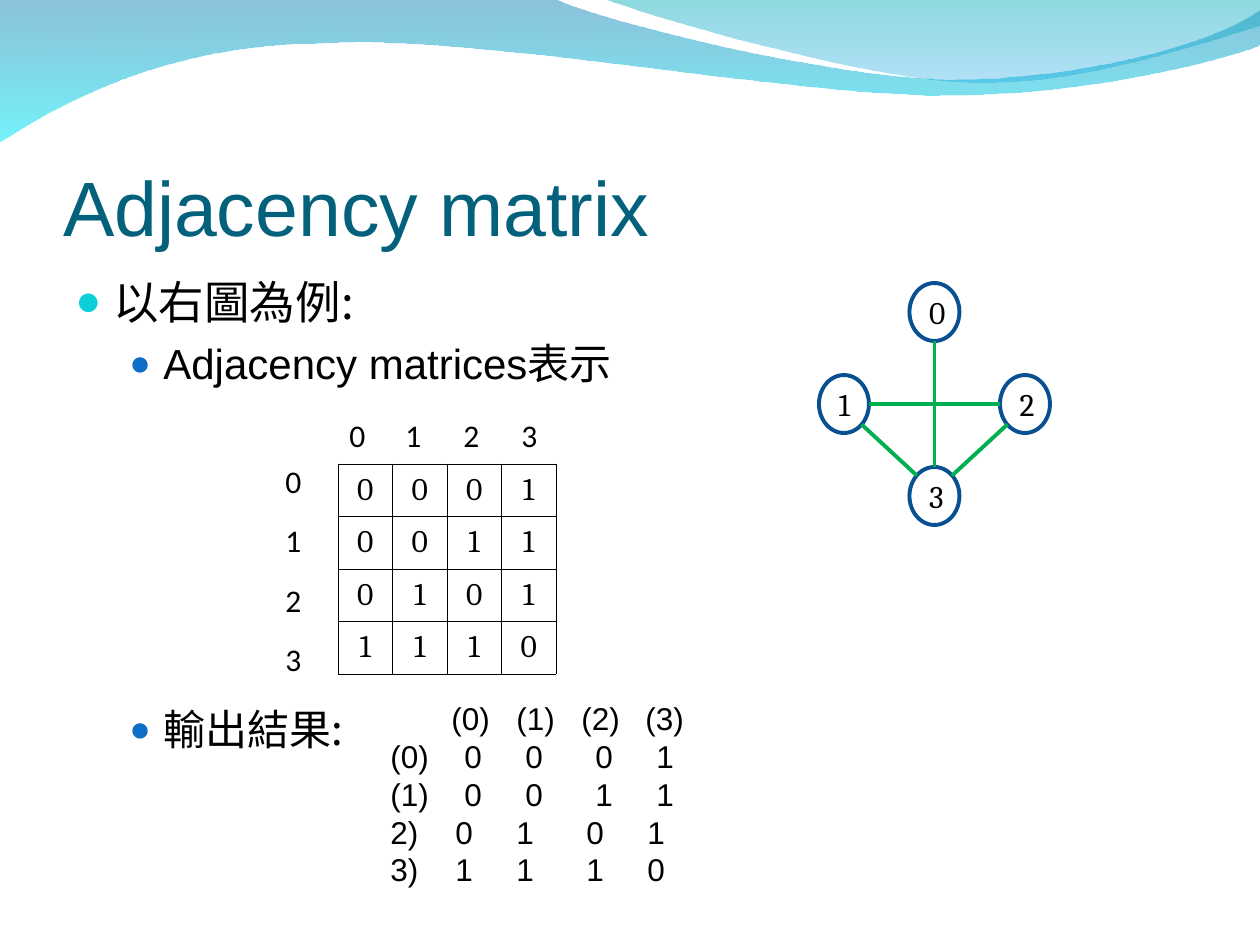
import dataclasses
import math

import pptx
import pptx.dml.color
import pptx.enum.shapes
import pptx.enum.text
import pptx.oxml.ns
import pptx.util
from lxml import etree

SCALE = 914400 / 126
MATRIX = ["0001", "0011", "0101", "1110"]


@dataclasses.dataclass(frozen=True)
class Theme:
    sans: str = "Arial"
    serif: str = "Cambria"
    label: str = "Calibri"
    asian: str = "Noto Sans CJK SC"
    title: str = "04617B"
    ink: str = "000000"
    dot: str = "0BD0D9"
    subdot: str = "0F6FC6"
    node: str = "085091"
    edge: str = "00B050"
    head: int = 44
    lead: int = 26
    point: int = 24
    small: int = 18


THEME = Theme()


def px(n):
    return pptx.util.Emu(round(n * SCALE))


def rgb(code):
    return pptx.dml.color.RGBColor.from_string(code)


def add(parent, tag, **attrs):
    node = etree.SubElement(parent, pptx.oxml.ns.qn("a:" + tag))
    for key, value in attrs.items():
        node.set(key, str(value))
    return node


def style(para, face, size, color=THEME.ink):
    font = para.font
    font.name, font.size = face, pptx.util.Pt(size)
    font.color.rgb = rgb(color)
    add(para._p.pPr.find(pptx.oxml.ns.qn("a:defRPr")), "ea", typeface=THEME.asian)


def set_tabs(para, stops):
    tabs = add(para._p.get_or_add_pPr(), "tabLst")
    for stop in stops:
        add(tabs, "tab", pos=px(stop), algn="l")


def add_text(shapes, box, lines):
    """Add a wrapped text box and return its paragraphs."""
    frame = shapes.add_textbox(*map(px, box)).text_frame
    frame.word_wrap = True
    frame.text = "\n".join(lines)
    return frame.paragraphs


def bend(shape, parts):
    """Turn each run of three line segments into one cubic curve."""
    lines = list(shape.element.spPr.iter(pptx.oxml.ns.qn("a:lnTo")))
    for part in parts:
        group, lines = lines[:len(part)], lines[len(part):]
        if len(group) == 3:
            group[0].tag = pptx.oxml.ns.qn("a:cubicBezTo")
            for line in group[1:]:
                group[0].append(line[0])
                line.getparent().remove(line)


def add_wave(shapes, start, parts, stops):
    """Draw lines (one point) and curves (three); stops are (colour, alpha %)."""
    points = [(px(x), px(y)) for part in parts for x, y in part]
    builder = shapes.build_freeform(*map(px, start), scale=1.0)
    builder.add_line_segments(points, close=True)
    wave = builder.convert_to_shape()
    bend(wave, parts)
    wave.shadow.inherit = False
    wave.line.fill.background()
    wave.fill.gradient()
    wave.fill.gradient_angle = 270
    for stop, (color, _) in zip(wave.fill.gradient_stops, stops):
        stop.color.rgb = rgb(color)
    colors = wave.element.spPr.iter(pptx.oxml.ns.qn("a:srgbClr"))
    for node, (_, alpha) in zip(list(colors), stops):
        add(node, "alpha", val=alpha * 1000)


def add_waves(shapes):
    add_wave(shapes, (0, -1), [
        [(555, -1)],
        [(600, 21), (837, 79), (955, 79)],
        [(1075, 79), (1207, 47), (1260, 11)],
        [(1261, 45)],
        [(1239, 55), (1096, 96), (940, 95)],
        [(784, 95), (481, 35), (324, 43)],
        [(163, 44), (58, 105), (-1, 142)],
    ], [("0079AF", 45), ("00EBF8", 55)])
    add_wave(shapes, (604, -1), [
        [(641, 14), (859, 78), (969, 82)],
        [(1079, 87), (1211, 40), (1260, 26)],
        [(1260, 0)],
    ], [("00ADB6", 45), ("009BE5", 30)])


def set_title(title, box, text):
    title.left, title.top, title.width, title.height = map(px, box)
    frame = title.text_frame
    frame.text = text
    frame.margin_left = frame.margin_right = frame.margin_bottom = 0
    frame.vertical_anchor = pptx.enum.text.MSO_ANCHOR.BOTTOM
    para = frame.paragraphs[0]
    para.alignment = pptx.enum.text.PP_ALIGN.LEFT
    style(para, THEME.sans, THEME.head, THEME.title)


def add_points(shapes, box):
    sub = (88, 34, THEME.subdot, 85)
    # text, face, size, line height, space before, margin, hang, bullet colour, bullet %
    rows = [
        ("以右圖為例:", THEME.asian, THEME.lead, 31.5, 0, 38, 38, THEME.dot, 95),
        ("Adjacency matrices表示", THEME.sans, THEME.point, 28.25, 6, *sub),
        ("輸出結果:", THEME.asian, THEME.point, 28.25, 180.75, *sub),
    ]
    paras = add_text(shapes, box, [row[0] for row in rows])
    for para, (_, face, size, line, gap, margin, hang, color, part) in zip(paras, rows):
        para.line_spacing = pptx.util.Pt(line)
        para.space_before = pptx.util.Pt(gap)
        props = para._p.get_or_add_pPr()
        props.set("marL", str(px(margin)))
        props.set("indent", str(px(-hang)))
        add(add(props, "buClr"), "srgbClr", val=color)
        add(props, "buSzPct", val=part * 1000)
        add(props, "buFont", typeface=THEME.sans)
        add(props, "buChar", char="●")
        style(para, face, size)


def add_output(shapes, box):
    """Print the matrix as tabbed text; the last two rows are numbered."""
    heads = ["", "(0)", "(1)", "", ""]
    rows = [[f"({i})" for i in range(4)], *MATRIX]
    lines = [head + "\t" + "\t".join(row) for head, row in zip(heads, rows)]
    plain, listed = (74, 135, 205, 266), (65, 126, 196, 257)
    stops = [(61, 126, 191, 255), plain, plain, listed, listed]
    for para, tabs in zip(add_text(shapes, box, lines), stops):
        if tabs is listed:
            props = para._p.get_or_add_pPr()
            add(add(props, "buClr"), "srgbClr", val=THEME.ink)
            add(props, "buAutoNum", type="arabicParenR", startAt=2)
        set_tabs(para, tabs)
        style(para, THEME.sans, THEME.small)


def add_graph(shapes, box):
    left, top, width, height = box
    wide, high = 50, 58
    midx, midy = left + width / 2, top + height / 2
    right, low = left + width - wide / 2, top + height - high / 2
    nodes = [(midx, top + high / 2), (left + wide / 2, midy), (right, midy), (midx, low)]
    group = shapes.add_group_shape().shapes
    for name, (x, y) in enumerate(nodes):
        node = group.add_shape(pptx.enum.shapes.MSO_SHAPE.OVAL, px(x - wide / 2),
                               px(y - high / 2), px(wide), px(high))
        node.shadow.inherit = False
        node.fill.background()
        node.line.color.rgb = rgb(THEME.node)
        node.line.width = pptx.util.Pt(2.25)
        node.text_frame.text = str(name)
        para = node.text_frame.paragraphs[0]
        para.alignment = pptx.enum.text.PP_ALIGN.LEFT
        style(para, THEME.serif, THEME.small)
    for a, b in [(0, 3), (1, 2), (1, 3), (2, 3)]:
        (ax, ay), (bx, by) = nodes[a], nodes[b]
        signx, signy = (bx > ax) - (bx < ax), (by > ay) - (by < ay)
        size = 2 * math.hypot(signx, signy)
        dx, dy = signx * wide / size, signy * high / size
        edge = group.add_connector(pptx.enum.shapes.MSO_CONNECTOR.STRAIGHT,
                                   px(ax + dx), px(ay + dy), px(bx - dx), px(by - dy))
        edge.line.color.rgb = rgb(THEME.edge)
        edge.line.width = pptx.util.Pt(2.25)
        add(edge.element.spPr, "effectLst")


def add_matrix(shapes, box):
    """Add the bordered matrix with its column and row labels."""
    left, top, width, height = box
    table = shapes.add_table(4, 4, *map(px, box)).table
    table.first_row = table.horz_banding = False
    for i, row in enumerate(MATRIX):
        table.columns[i].width, table.rows[i].height = px(width / 4), px(height / 4)
        for j, value in enumerate(row):
            cell = table.cell(i, j)
            cell.text = value
            cell.vertical_anchor = pptx.enum.text.MSO_ANCHOR.MIDDLE
            props = cell._tc.get_or_add_tcPr()
            for side in "LRTB":
                line = add(props, "ln" + side, w=pptx.util.Pt(0.45))
                add(add(line, "solidFill"), "srgbClr", val=THEME.ink)
            cell.fill.background()
            para = cell.text_frame.paragraphs[0]
            para.alignment = pptx.enum.text.PP_ALIGN.CENTER
            style(para, THEME.serif, THEME.small)
    cols = add_text(shapes, (left - 1, top - 54, width, 50), ["0\t1\t2\t3"])[0]
    set_tabs(cols, (56, 114, 172))
    style(cols, THEME.label, THEME.small)
    for i, para in enumerate(add_text(shapes, (left - 65, top - 10, 44, 231), "0123")):
        para.line_spacing = 1.05
        para.space_before = pptx.util.Pt(11.2 if i else 0)
        style(para, THEME.label, THEME.small)


def main():
    deck = pptx.Presentation()
    deck.slide_width, deck.slide_height = px(1260), px(945)
    slide = deck.slides.add_slide(deck.slide_layouts[5])
    shapes = slide.shapes
    add_waves(shapes)
    set_title(shapes.title, (63, 105, 1134, 147), "Adjacency matrix")
    add_points(shapes, (63, 267, 1134, 605))
    add_output(shapes, (378, 693, 347, 202))
    add_graph(shapes, (819, 283, 231, 242))
    add_matrix(shapes, (338, 464, 218, 210))
    deck.save("out.pptx")


if __name__ == "__main__":
    main()
